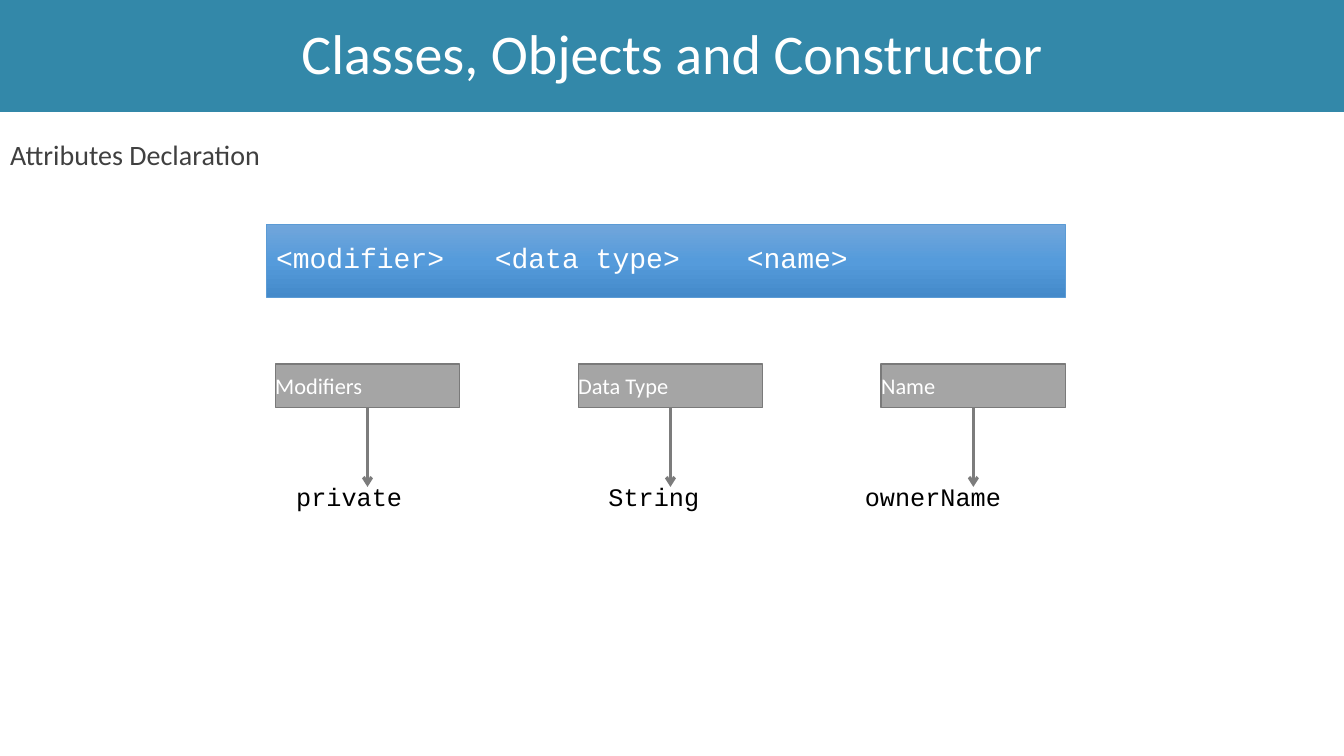
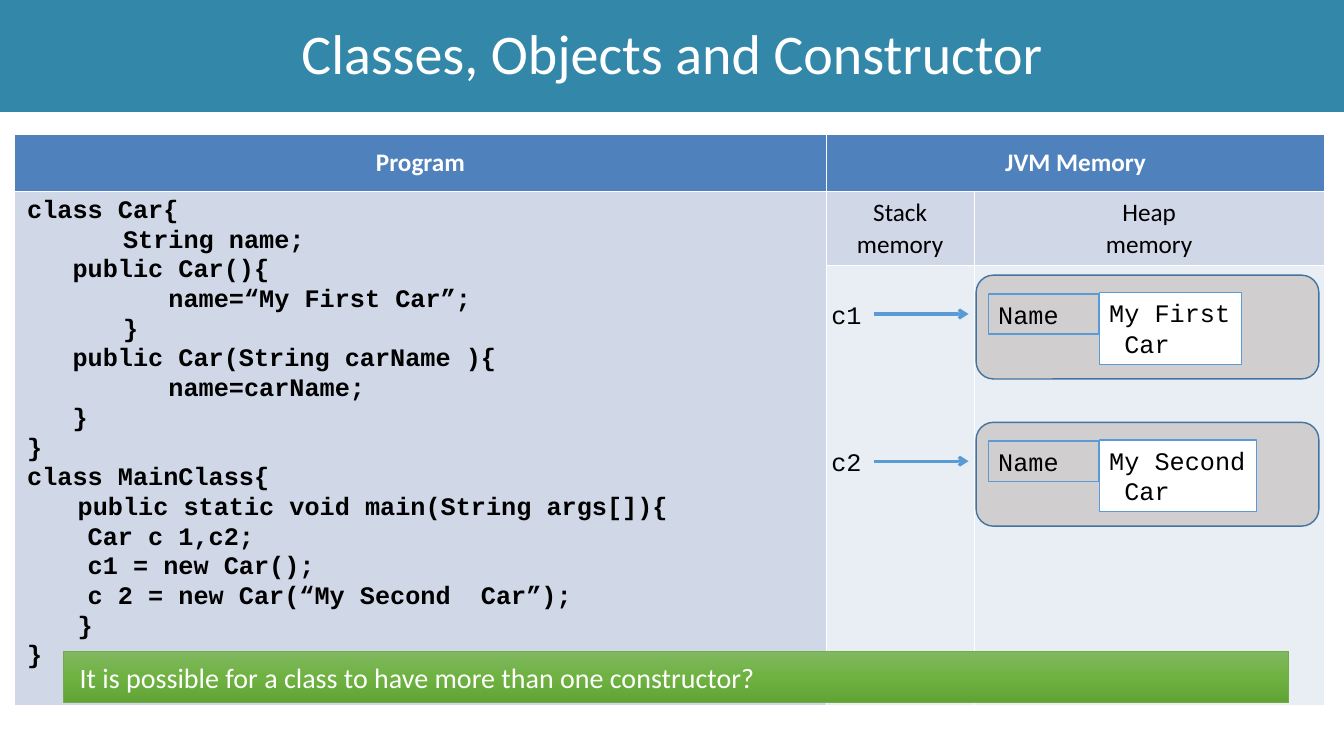
from copy import deepcopy

from pptx import Presentation
from pptx.dml.color import RGBColor
from pptx.enum.shapes import MSO_CONNECTOR, MSO_SHAPE
from pptx.enum.text import MSO_ANCHOR, MSO_AUTO_SIZE, PP_ALIGN
from pptx.oxml.ns import qn
from pptx.oxml.xmlchemy import OxmlElement
from pptx.util import Emu, Inches, Pt

LEFT, CENTER = PP_ALIGN.LEFT, PP_ALIGN.CENTER
TOP, MIDDLE = MSO_ANCHOR.TOP, MSO_ANCHOR.MIDDLE
RECT, ROUND = MSO_SHAPE.RECTANGLE, MSO_SHAPE.ROUNDED_RECTANGLE
STRAIGHT, NO_FIT = MSO_CONNECTOR.STRAIGHT, MSO_AUTO_SIZE.NONE

SANS, MONO = "Calibri", "Courier New"
WHITE, BLACK, BLUE = "FFFFFF", "000000", "5B9BD5"
PAGE = (0, 0, Inches(13.33), Inches(7.5))
TITLE = "Classes, Objects and Constructor"
PROGRAM = """class Car{
\t   String name;
   public Car(){
\t      name=“My First Car”;
\t   }
   public Car(String carName ){
\t      name=carName;
   }
}
class MainClass{
\tpublic static void main(String args[]){
    Car c 1,c2;
    c1 = new Car();
    c 2 = new Car(“My Second  Car”);
\t}
}"""


def rgb(hue):
    return RGBColor.from_string(hue)


def part(box, x, y, w, h):
    """A box inside another one, in percent of its size."""
    left, top, wide, high = box
    return (Emu(int(left + wide * x / 100)), Emu(int(top + high * y / 100)),
            Emu(int(wide * w / 100)), Emu(int(high * h / 100)))


def tabs(para, stops):
    group = OxmlElement("a:tabLst")
    for stop in stops:
        tab = OxmlElement("a:tab")
        tab.set("pos", str(Inches(stop)))
        tab.set("algn", "l")
        group.append(tab)
    para._p.get_or_add_pPr().append(group)


def write(frame, text, size, hue, font=SANS, bold=False, align=LEFT,
          space=1.0, stops=()):
    frame.text = text
    for para in frame.paragraphs:
        para.alignment, para.line_spacing = align, space
        para.space_before = Pt(0)
        if stops:
            tabs(para, stops)
        for run in para.runs:
            run.font.size, run.font.name = Pt(size), font
            run.font.bold, run.font.color.rgb = bold, rgb(hue)


def inset(frame, left, rest):
    frame.margin_left = Inches(left)
    frame.margin_top = frame.margin_right = frame.margin_bottom = Inches(rest)


def block(slide, box, fill, line, width=1, kind=RECT, anchor=MIDDLE):
    """A shape with a plain fill, a gradient (tuple) or none."""
    shape = slide.shapes.add_shape(kind, *box)
    shape.shadow.inherit = False
    if isinstance(fill, tuple):
        shape.fill.gradient()
        shape.fill.gradient_angle = 270
        group = shape._element.spPr.find(".//" + qn("a:gsLst"))
        group.insert(1, deepcopy(group[0]))
        for stop, hue, spot in zip(shape.fill.gradient_stops, fill, (0, 0.5, 1)):
            stop.color.rgb, stop.position = rgb(hue), spot
    elif fill:
        shape.fill.solid()
        shape.fill.fore_color.rgb = rgb(fill)
    else:
        shape.fill.background()
    shape.line.color.rgb, shape.line.width = rgb(line), Pt(width)
    shape.text_frame.vertical_anchor = anchor
    return shape


def arrow(slide, x1, y1, x2, y2, hue):
    link = slide.shapes.add_connector(STRAIGHT, x1, y1, x2, y2)
    link.line.color.rgb, link.line.width = rgb(hue), Pt(2.25)
    tail = OxmlElement("a:tailEnd")
    tail.set("type", "arrow")
    link.line._get_or_add_ln().append(tail)
    link._element.spPr.append(OxmlElement("a:effectLst"))
    return link


def fit(text):
    """Width of a box around 18 pt code."""
    return Inches(0.15 * max(map(len, text.split("\n"))) + 0.21)


def label(slide, box, text):
    left, top, _, high = box
    frame = slide.shapes.add_textbox(left, top, fit(text), high).text_frame
    frame.word_wrap = False
    write(frame, text, 18, BLACK, MONO)


def start(deck, layout):
    """A new slide with the title band."""
    slide = deck.slides.add_slide(deck.slide_layouts[layout])
    band = slide.shapes.title
    band.left, band.top, band.width, band.height = part(PAGE, 0, 0, 100, 14.8)
    band.fill.solid()
    band.fill.fore_color.rgb = rgb("3388A9")
    band.text_frame.auto_size = NO_FIT
    band.text_frame.vertical_anchor = MIDDLE
    write(band.text_frame, TITLE, 40, WHITE, align=CENTER, space=0.9)
    return slide


def lead(slide, box, text):
    """Heading line in the body placeholder, without a bullet."""
    body = slide.placeholders[1]
    body.left, body.top, body.width, body.height = box
    body.text_frame.auto_size = NO_FIT
    write(body.text_frame, text, 20, "404040", space=1.5)
    props = body.text_frame.paragraphs[0]._p.get_or_add_pPr()
    props.set("marL", "0")
    props.set("indent", "0")
    props.append(OxmlElement("a:buNone"))


def column(slide, box, name, sample, shift):
    """Grey label with an arrow down to its sample."""
    head = block(slide, part(box, 0, 0, 100, 28.3), "A5A5A5", "7A7A7A")
    inset(head.text_frame, 0, 0)
    write(head.text_frame, name, 16, WHITE)
    x, y, _, _ = part(box, 50, 80.3, 0, 0)
    link = arrow(slide, x, head.top + head.height, x, y, "7C7C7C")
    link.begin_connect(head, 2)
    label(slide, part(box, shift, 73.7, 0, 26.3), sample)


def syntax(deck):
    slide = start(deck, 1)
    lead(slide, part(PAGE, 0, 15.33, 60.5, 8.13), "Attributes Declaration")
    bar = block(slide, part(PAGE, 19.8, 29.73, 59.5, 9.6),
                ("71A6DB", "559BDB", "448ACA"), BLUE, 0.5)
    inset(bar.text_frame, 0.1, 0.1)
    write(bar.text_frame, "<modifier>\t<data type>\t<name>", 20, WHITE, MONO,
          space=Pt(19), stops=(2.17, 4.67))
    items = (("Modifiers", "private", 6), ("Data Type", "String", 11),
             ("Name", "ownerName", -14.2))
    for i, item in enumerate(items):
        column(slide, part(PAGE, 20.48 + 22.54 * i, 48.13, 13.73, 20.27), *item)


def edge(cell, first, last):
    """White cell borders, thicker below the header row."""
    props = cell._tc.get_or_add_tcPr()
    widths = (0.23, 0.23, 0.75 if last else 0.23, 0.75 if first else 0.23)
    for i, (side, width) in enumerate(zip("LRTB", widths)):
        line = OxmlElement("a:ln" + side)
        line.set("w", str(Pt(width)))
        fill, hue = OxmlElement("a:solidFill"), OxmlElement("a:srgbClr")
        hue.set("val", WHITE)
        fill.append(hue)
        line.append(fill)
        props.insert(i, line)


def memory(slide, box):
    """Table of the program and the memory areas."""
    grid = slide.shapes.add_table(3, 3, *box).table
    for col, share in zip(grid.columns, (62, 11.23, 26.77)):
        col.width = int(box[2] * share / 100)
    for row, share in zip(grid.rows, (10.05, 12.87, 77.08)):
        row.height = int(box[3] * share / 100)
    grid.cell(0, 1).merge(grid.cell(0, 2))
    grid.cell(1, 0).merge(grid.cell(2, 0))
    texts = (("Program", "JVM Memory", ""),
             (PROGRAM, "Stack\nmemory", "Heap\nmemory"), ("", "", ""))
    fills = ("4F81BD", "D0D8E8", "E9EDF4")
    stops = [i / 2 for i in range(8)]
    for r, row in enumerate(texts):
        for c, text in enumerate(row):
            cell = grid.cell(r, c)
            cell.fill.solid()
            cell.fill.fore_color.rgb = rgb(fills[r])
            edge(cell, r == 0, r == 1)
            cell.margin_left = cell.margin_right = Inches(0.13)
            cell.vertical_anchor = TOP if r else MIDDLE
            if text:
                code = text == PROGRAM
                write(cell.text_frame, text, 18, BLACK if r else WHITE,
                      MONO if code else SANS, code or r == 0,
                      LEFT if code else CENTER, 1.04, stops if code else ())


def item(slide, box, name, value):
    """Variable, arrow and the object it points to."""
    label(slide, part(box, 0.3, 18, 0, 38.8), name)
    x, y, wide, _ = part(box, 10.8, 37.4, 19, 0)
    arrow(slide, x, y, x + wide, y, BLUE)
    block(slide, part(box, 31.31, 0, 68.69, 100), "D0CECE", "43739E", kind=ROUND)
    field = block(slide, part(box, 33.74, 18, 22.22, 38.8), None, BLUE, anchor=TOP)
    write(field.text_frame, "Name", 18, BLACK, MONO)
    left, top, _, high = part(box, 56, 17, 0, 68.9)
    cell = block(slide, (left, top, fit(value), high), WHITE, BLUE, anchor=TOP)
    cell.text_frame.word_wrap = False
    write(cell.text_frame, value, 18, BLACK, MONO)
    second = cell.text_frame.paragraphs[1]._p.get_or_add_pPr()
    second.set("marL", str(Inches(0.15)))


def objects(deck):
    slide = start(deck, 5)
    memory(slide, part(PAGE, 1.05, 17.73, 97.5, 75.5))
    pairs = (("c1", "My First\nCar"), ("c2", "My Second\nCar"))
    for i, pair in enumerate(pairs):
        item(slide, part(PAGE, 61, 36.4 + 19.47 * i, 37.13, 13.73), *pair)
    note = block(slide, part(PAGE, 4.73, 86.13, 91.15, 6.8),
                 ("81B861", "6FB242", "62A336"), "70AD47", 0.5)
    inset(note.text_frame, 0.16, 0.1)
    write(note.text_frame,
          "It is possible for a class to have more than one constructor?", 20, WHITE)


def main():
    deck = Presentation()
    deck.slide_width, deck.slide_height = PAGE[2:]
    syntax(deck)
    objects(deck)
    deck.save("out.pptx")


if __name__ == "__main__":
    main()
